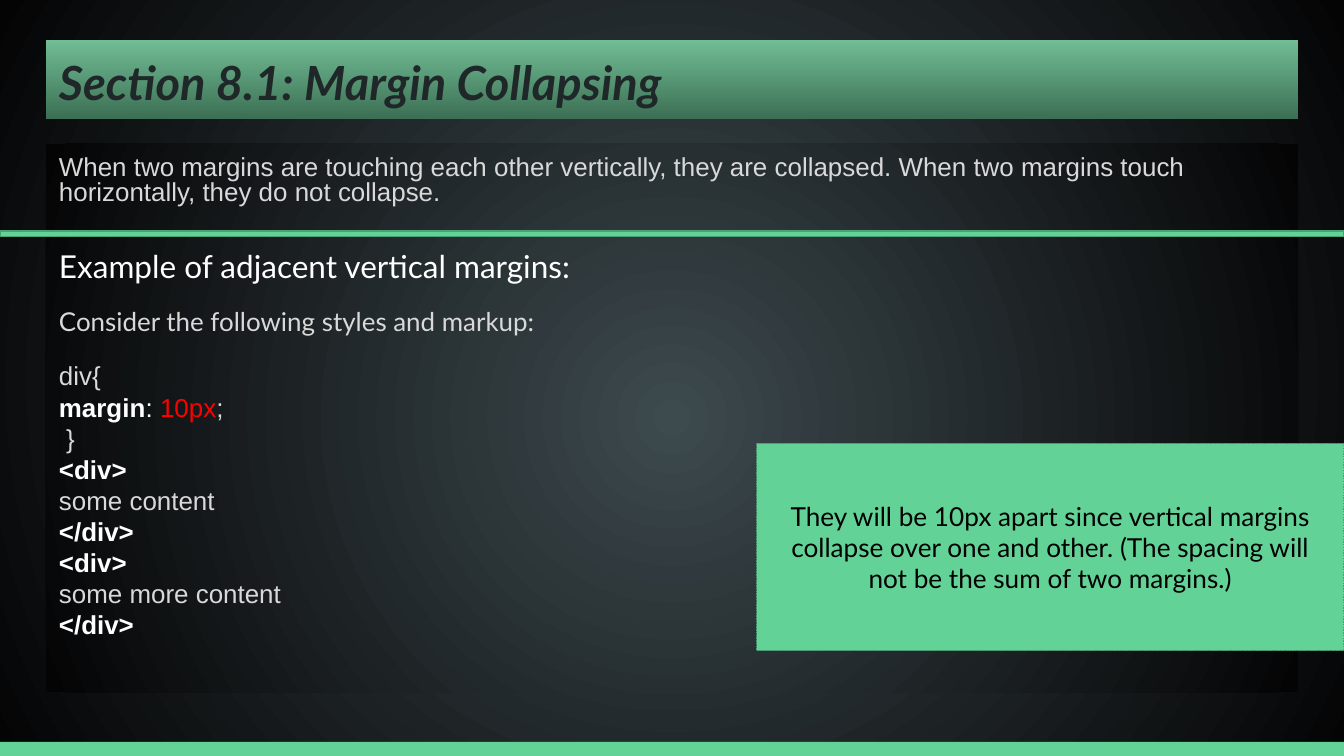
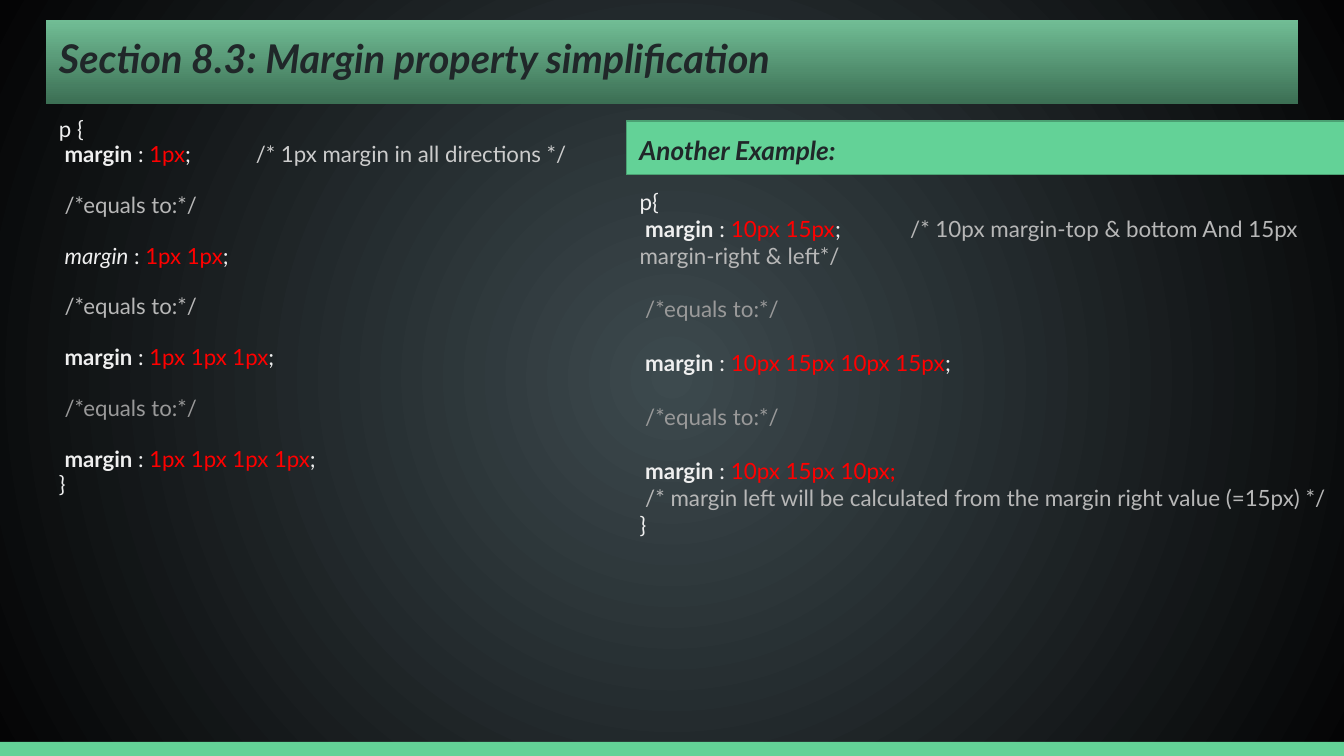
from dataclasses import dataclass
from lxml.etree import SubElement
from pptx import Presentation
from pptx.dml.color import RGBColor
from pptx.enum.dml import MSO_LINE
from pptx.enum.shapes import MSO_SHAPE
from pptx.enum.text import MSO_ANCHOR, PP_ALIGN
from pptx.oxml.ns import qn
from pptx.util import Pt


@dataclass(frozen=True)
class Theme:
    """Colours, fonts and type sizes of the deck."""
    green: str = "63D297"
    edge: str = "4BA173"
    ink: str = "202729"
    black: str = "000000"
    white: str = "FFFFFF"
    light: str = "D9D9D9"
    pale: str = "EFEFEF"
    silver: str = "CCCCCC"
    grey: str = "B7B7B7"
    dim: str = "999999"
    red: str = "FF0000"
    glow: tuple = ("3D4A4E", "040405")
    band: tuple = ("71BD95", "3C6F54")
    sans: str = "Lato"
    mono: str = "Arial"
    heading: float = 16.9
    body: float = 13.9
    label: float = 14
    code: float = 12
    small_code: float = 11.9


T = Theme()
W, H = 720, 405
LEFT, WIDE = 24.5, 671
INSET = 7.2


class Deck:
    """Holds the theme and the current slide and draws each kind of element."""

    def __init__(self, theme):
        """Start an empty presentation."""
        self.t = theme
        self.prs = Presentation()
        self.prs.slide_width, self.prs.slide_height = Pt(W), Pt(H)
        self.s = None

    def slide(self, title, top, height, size):
        """Add a slide with its glow, footer band and title bar."""
        self.s = self.prs.slides.add_slide(self.prs.slide_layouts[6])
        self.glow(self.s.background.fill, self.s.element)
        self.bar(0, H - 7.5, W, 7.5)
        sp = self.bar(LEFT, top, WIDE, height)
        self.gradient(sp.fill, self.t.band)
        sp.fill.gradient_angle = 270
        self.para(sp.text_frame, [(title, self.t.ink, "bi")], size)

    def gradient(self, fill, colors):
        """Give a fill a two-colour gradient."""
        fill.gradient()
        for stop, color in zip(fill.gradient_stops, colors):
            stop.color.rgb = RGBColor.from_string(color)

    def glow(self, fill, element):
        """Give a fill the circular gradient of the deck."""
        self.gradient(fill, self.t.glow)
        grad = next(element.iter(qn("a:gradFill")))
        grad.remove(grad.find(qn("a:lin")))
        circle = SubElement(grad, qn("a:path"), path="circle")
        SubElement(circle, qn("a:fillToRect"), l="50000", t="50000", r="50000", b="50000")

    def frame(self, sp):
        """Prepare the text frame of a shape."""
        tf = sp.text_frame
        tf.word_wrap = True
        tf.vertical_anchor = MSO_ANCHOR.TOP
        tf.margin_left = tf.margin_right = tf.margin_top = tf.margin_bottom = Pt(INSET)
        return tf

    def bar(self, x, y, w, h, outline=False, dash=None):
        """Draw a green rectangle."""
        sp = self.s.shapes.add_shape(MSO_SHAPE.RECTANGLE, Pt(x), Pt(y), Pt(w), Pt(h))
        sp.shadow.inherit = False
        sp.fill.solid()
        sp.fill.fore_color.rgb = RGBColor.from_string(self.t.green)
        if outline:
            sp.line.color.rgb = RGBColor.from_string(self.t.edge)
            sp.line.width = Pt(0.75)
            sp.line.dash_style = dash
        else:
            sp.line.fill.background()
        self.frame(sp)
        return sp

    def panel(self, x, y, w, h):
        """Draw a glowing text panel and return its frame."""
        sp = self.bar(x, y, w, h)
        self.glow(sp.fill, sp.element)
        return sp.text_frame

    def text(self, x, y, w, h):
        """Add a text box and return its frame."""
        return self.frame(self.s.shapes.add_textbox(Pt(x), Pt(y), Pt(w), Pt(h)))

    def para(self, tf, runs, size, font=None, align=PP_ALIGN.LEFT, before=0, spacing=1.0, tab=None):
        """Write a paragraph of (text, colour, flags) runs, flags being b and i."""
        p = tf.paragraphs[0]
        if p.runs:
            p = tf.add_paragraph()
        p.alignment, p.line_spacing, p.space_before = align, spacing, Pt(before)
        if tab:
            tabs = SubElement(p._p.get_or_add_pPr(), qn("a:tabLst"))
            SubElement(tabs, qn("a:tab"), pos=str(Pt(tab)), algn="l")
        for text, color, flags in runs:
            r = p.add_run()
            r.text = text
            r.font.name, r.font.size = font or self.t.sans, Pt(size)
            r.font.bold, r.font.italic = "b" in flags, "i" in flags
            r.font.color.rgb = RGBColor.from_string(color)

    def listing(self, tf, lines, size, spacing, tab):
        """Write code lines, each with a flag for a one-line gap above it."""
        gap = round(size * 1.2 * spacing, 1)
        for spaced, runs in lines:
            self.para(tf, runs, size, before=gap if spaced else 0, spacing=spacing, tab=tab)


def margin(value, end=";", flags="b"):
    """Return the runs of a margin declaration."""
    runs = [(" ", T.pale, ""), ("margin", T.pale, flags), (" : ", T.pale, ""), (value, T.red, "")]
    return runs + [(end, T.pale, "")] if end else runs


def note(text, color):
    """Return the run of a code comment."""
    return [(text, color, "")]


def collapsing(deck):
    """Build the slide on margin collapsing."""
    deck.slide("Section 8.1: Margin Collapsing", 21.5, 42.5, 25.2)
    tf = deck.panel(LEFT, 77, WIDE, 294)
    deck.para(tf, [("When two margins are touching each other vertically, they are collapsed. "
                    "When two margins touch horizontally, they do not collapse.", T.light, "")],
              T.body, T.mono, before=10, spacing=0.8)
    deck.para(tf, [("Example of adjacent vertical margins:", T.white, "")],
              T.heading, before=23, spacing=0.95)
    deck.para(tf, [("Consider the following styles and markup:", T.light, "")],
              T.body, before=12, spacing=0.95)
    opening, closing = [("<div>", T.white, "b")], [("</div>", T.white, "b")]
    markup = [
        [("div{", T.light, "")],
        [("margin", T.white, "b"), (": ", T.white, ""), ("10px", T.red, ""), (";", T.light, "")],
        [(" }", T.light, "")],
        opening, [("some content", T.light, "")], closing,
        opening, [("some more content", T.light, "")], closing,
    ]
    for i, runs in enumerate(markup):
        deck.para(tf, runs, T.body, T.mono, PP_ALIGN.JUSTIFY, before=0 if i else 12)
    deck.bar(0, 123.8, W, 3, outline=True)
    sp = deck.bar(405.4, 237.6, 314.6, 111, outline=True, dash=MSO_LINE.ROUND_DOT)
    sp.text_frame.vertical_anchor = MSO_ANCHOR.MIDDLE
    deck.para(sp.text_frame, [("They will be 10px apart since vertical margins collapse over one and "
                               "other. (The spacing will not be the sum of two margins.)", T.black, "")],
              T.label, align=PP_ALIGN.CENTER)


def simplification(deck):
    """Build the slide on the short forms of the margin property."""
    deck.slide("Section 8.3: Margin property simplification", 10.8, 44.8, 21.2)
    equals = " /*equals to:*/"
    end = [("}", T.pale, "")]
    deck.listing(deck.text(LEFT, 55.5, WIDE, 315.4), [
        (False, [("p {", T.pale, "")]),
        (False, margin("1px", ";\t") + note("/* 1px margin in all directions */", T.silver)),
        (True, note(equals, T.grey)),
        (True, margin("1px 1px", flags="i")),
        (True, note(equals, T.grey)),
        (True, margin("1px 1px 1px")),
        (True, note(equals, T.dim)),
        (True, margin("1px 1px 1px 1px")),
        (False, end),
    ], T.small_code, 0.95, 105.5)
    x, y, h = 335.5, 64.8, 28.8
    deck.listing(deck.text(x, y + h, 395.3, 161.3), [
        (False, [("p{", T.pale, "")]),
        (False, margin("10px 15px", ";\t")
         + note("/* 10px margin-top & bottom And 15px margin-right & left*/", T.grey)),
        (True, note(equals, T.dim)),
        (True, margin("10px 15px 10px 15px")),
        (True, note(equals, T.dim)),
        (True, margin("10px 15px 10px;", end="")),
        (False, note(" /* margin left will be calculated from the margin right value (=15px) */", T.grey)),
        (False, end),
    ], T.code, 1.0, 145)
    sp = deck.bar(x, y, 398.9, h, outline=True)
    deck.para(sp.text_frame, [("Another Example:", T.ink, "bi")], T.label)


def main():
    """Build and save the deck."""
    deck = Deck(T)
    collapsing(deck)
    simplification(deck)
    deck.prs.save("out.pptx")


if __name__ == "__main__":
    main()
